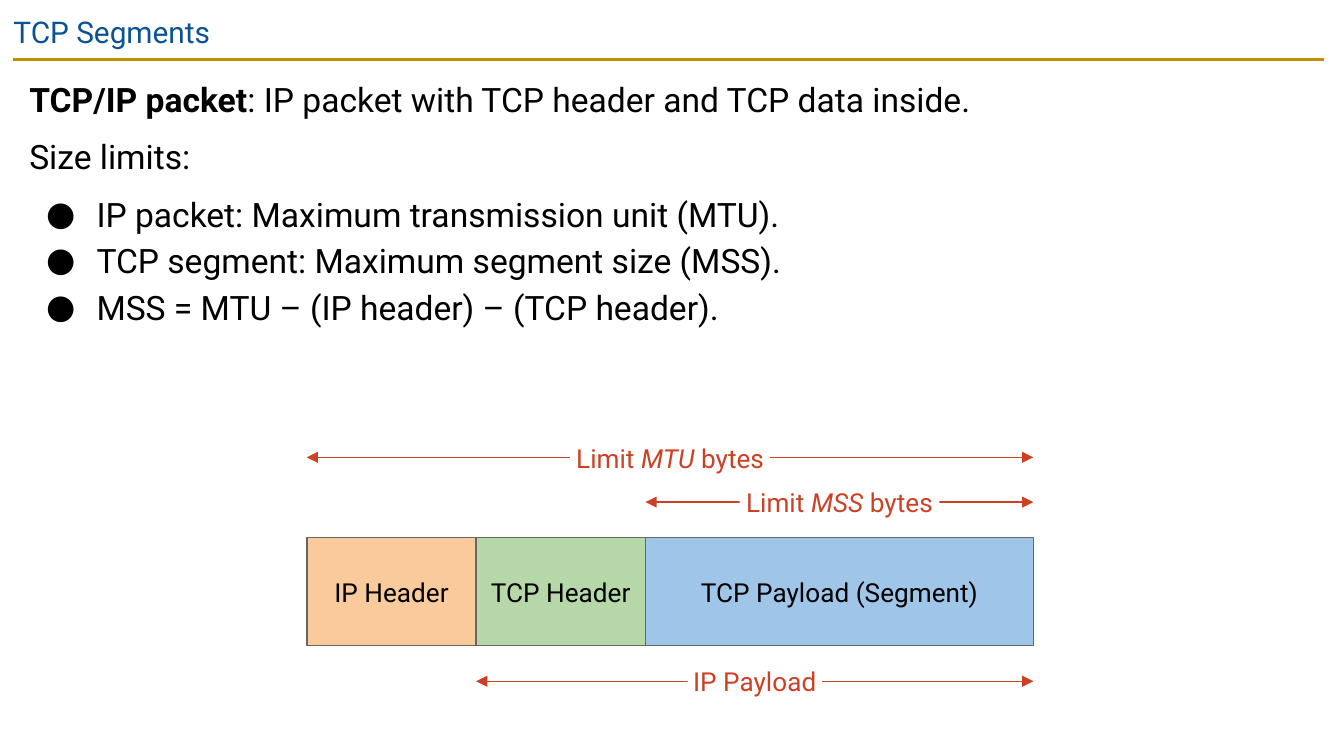
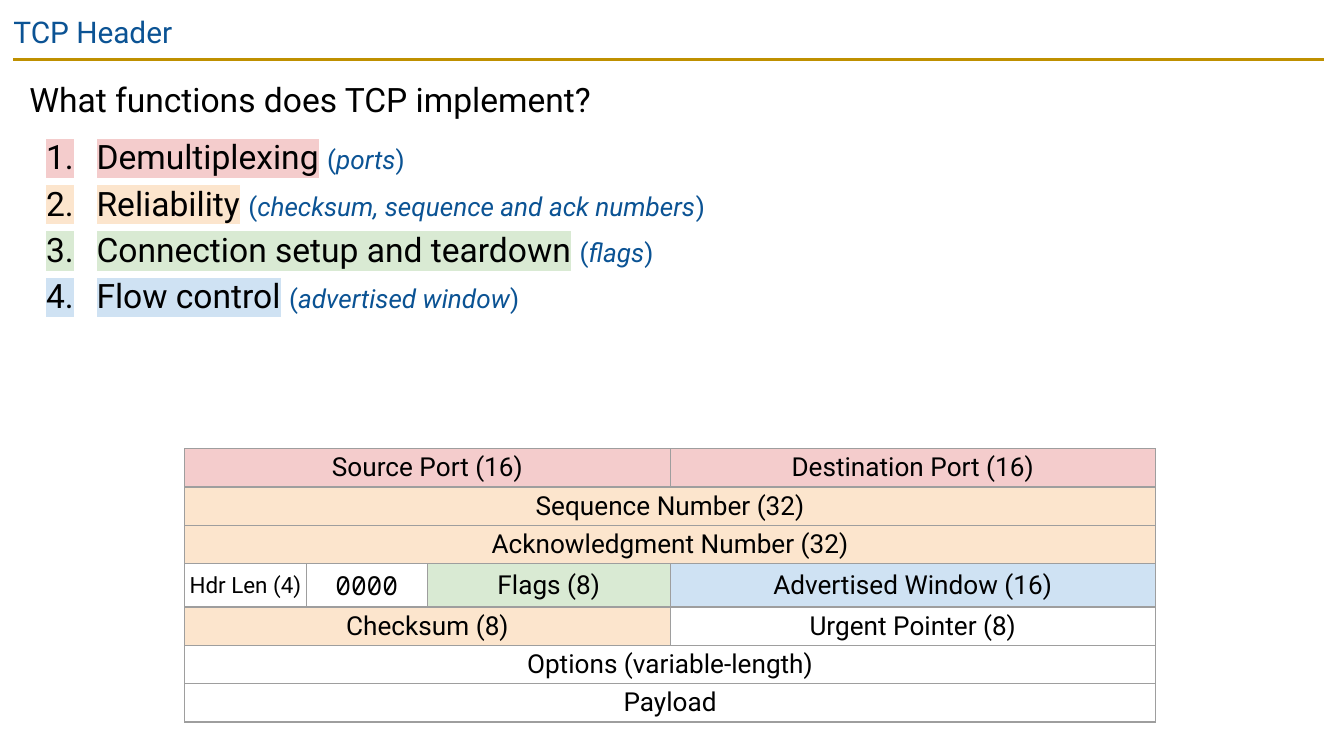
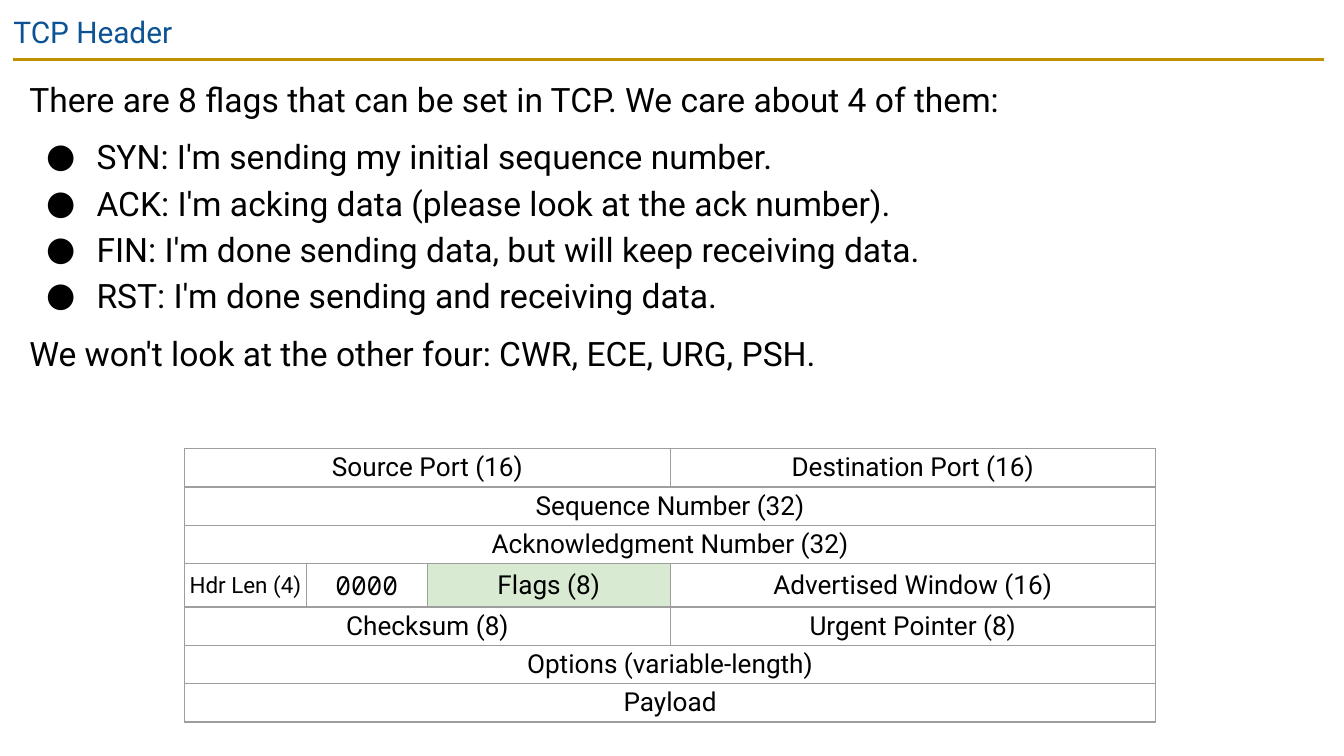
from dataclasses import dataclass
from typing import NamedTuple, Optional

from lxml import etree
from pptx import Presentation
from pptx import util as u
from pptx.dml import color
from pptx.enum import shapes, text
from pptx.oxml import ns

Pt = u.Pt


@dataclass(frozen=True)
class Theme:
    font: str = "Roboto"
    mono: str = "Noto Sans Mono"
    title_size: int = 16
    body_size: int = 18
    label_size: int = 14
    small_size: int = 12
    ink: str = "000000"
    paper: str = "FFFFFF"
    blue: str = "0B5394"
    gold: str = "BF9000"
    red: str = "CC4125"
    outline: str = "666666"
    grid: str = "9E9E9E"
    ip_orange: str = "F9CB9C"
    tcp_green: str = "B6D7A8"
    payload_blue: str = "9FC5E8"
    pale_red: str = "F4CCCC"
    pale_orange: str = "FCE5CD"
    pale_green: str = "D9EAD3"
    pale_blue: str = "CFE2F3"


THEME = Theme()


class Piece(NamedTuple):
    """A stretch of text in one style."""
    words: str
    size: float = THEME.body_size
    ink: str = THEME.ink
    bold: bool = False
    italic: bool = False
    highlight: Optional[str] = None
    font: str = THEME.font


class Line(NamedTuple):
    """A body paragraph; bullet is '', '●' or '1.'."""
    pieces: list[Piece]
    bullet: str = ""
    space_before: float = 6


class Block(NamedTuple):
    """A part of the packet."""
    name: str
    width: float
    fill: str


class Span(NamedTuple):
    """A labelled two-headed arrow over part of the packet."""
    pieces: list[Piece]
    start: float
    y: float
    label_width: float


class Field(NamedTuple):
    """A header field, measured in table columns."""
    name: str
    columns: int
    fill: Optional[str] = None
    size: float = THEME.label_size
    font: str = THEME.font


# --- Text and line helpers ---
def rgb(value: str) -> color.RGBColor:
    return color.RGBColor.from_string(value)


def child(parent, tag: str, **attributes: str):
    return etree.SubElement(parent, ns.qn(tag), attributes)


def set_insets(frame, inset: float) -> None:
    frame.margin_left = frame.margin_right = Pt(inset)
    frame.margin_top = frame.margin_bottom = Pt(inset)


def write(paragraph, pieces: list[Piece]) -> None:
    for piece in pieces:
        run = paragraph.add_run()
        run.text = piece.words
        font = run.font
        font.name, font.size = piece.font, Pt(piece.size)
        font.bold, font.italic = piece.bold, piece.italic
        font.color.rgb = rgb(piece.ink)
        if piece.highlight:
            properties = run.font._element
            mark = child(properties, "a:highlight")
            child(mark, "a:srgbClr", val=piece.highlight)
            properties.find(ns.qn("a:solidFill")).addnext(mark)


def set_bullet(paragraph, bullet: str) -> None:
    properties = paragraph._p.get_or_add_pPr()
    left, hang = (Pt(36), Pt(-27)) if bullet else (0, 0)
    properties.set("marL", str(left))
    properties.set("indent", str(hang))
    if not bullet:
        child(properties, "a:buNone")
        return
    child(child(properties, "a:buClr"), "a:srgbClr", val=THEME.ink)
    child(properties, "a:buSzPts", val=str(THEME.body_size * 100))
    child(properties, "a:buFont", typeface=THEME.font)
    if bullet == "1.":
        child(properties, "a:buAutoNum", type="arabicPeriod")
    else:
        child(properties, "a:buChar", char=bullet)


def add_line(parent, start: float, end: float, y: float, ink: str, weight: float):
    line = parent.add_connector(shapes.MSO_CONNECTOR.STRAIGHT, Pt(start), Pt(y), Pt(end), Pt(y))
    line.line.color.rgb = rgb(ink)
    line.line.width = Pt(weight)
    child(line.element.spPr, "a:effectLst")
    return line


def add_box(parent, left: float, top: float, width: float, height: float, fill: str,
            pieces: list[Piece], inset: float, outline: Optional[str] = None):
    box = parent.add_shape(shapes.MSO_SHAPE.RECTANGLE, Pt(left), Pt(top), Pt(width), Pt(height))
    box.shadow.inherit = False
    box.fill.solid()
    box.fill.fore_color.rgb = rgb(fill)
    if outline:
        box.line.color.rgb = rgb(outline)
        box.line.width = Pt(0.75)
    else:
        box.line.fill.background()
    frame = box.text_frame
    frame.word_wrap = True
    set_insets(frame, inset)
    frame.paragraphs[0].alignment = text.PP_ALIGN.CENTER
    write(frame.paragraphs[0], pieces)
    return box


# --- Slide frame: title, body and the rule on the layout ---
def fit_placeholder(holder, left: float, top: float, width: float, height: float):
    holder.left, holder.top = Pt(left), Pt(top)
    holder.width, holder.height = Pt(width), Pt(height)
    frame = holder.text_frame
    frame.word_wrap = True
    frame.auto_size = text.MSO_AUTO_SIZE.NONE
    frame.vertical_anchor = text.MSO_ANCHOR.TOP
    set_insets(frame, 7.2)
    return frame


def add_slide(deck, title: str, lines: list[Line], body_height: float = 192):
    slide = deck.slides.add_slide(deck.slide_layouts[1])
    heading = fit_placeholder(slide.shapes.title, 0, 0, 671, 31).paragraphs[0]
    heading.alignment = text.PP_ALIGN.LEFT
    write(heading, [Piece(title, THEME.title_size, THEME.blue)])

    body = fit_placeholder(slide.placeholders[1], 8.5, 31.7, 701, body_height)
    for index, line in enumerate(lines):
        paragraph = body.add_paragraph() if index else body.paragraphs[0]
        paragraph.alignment = text.PP_ALIGN.LEFT
        paragraph.line_spacing = 1.15
        paragraph.space_before = Pt(line.space_before)
        set_bullet(paragraph, line.bullet)
        write(paragraph, line.pieces)
    return slide


def add_rule_to_layout(slide) -> None:
    rule = add_line(slide.shapes, 7.2, 709.2, 31.8, THEME.gold, 1.5)
    slide.slide_layout.shapes.element.append(rule.element)


def plain(words: str) -> Line:
    return Line([Piece(words)])


def listed(items: list[list[Piece]], bullet: str = "●") -> list[Line]:
    return [Line(pieces, bullet, 0 if index else 6) for index, pieces in enumerate(items)]


# --- Packet diagram ---
PACKET_LEFT, PACKET_TOP, PACKET_HEIGHT = 164.4, 288, 58
PACKET = [
    Block("IP Header", 90.7, THEME.ip_orange),
    Block("TCP Header", 90.7, THEME.tcp_green),
    Block("TCP Payload (Segment)", 207.8, THEME.payload_blue),
]


def label(words: str, ink: str = THEME.red, italic: bool = False) -> Piece:
    return Piece(words, THEME.label_size, ink, italic=italic)


def limit(unit: str) -> list[Piece]:
    return [label("Limit "), label(unit, italic=True), label(" bytes")]


def add_span(slide, span: Span, end: float) -> None:
    group = slide.shapes.add_group_shape().shapes
    arrow = add_line(group, span.start, end, span.y, THEME.red, 0.75)
    stroke = arrow.line._get_or_add_ln()
    for tip in ("a:headEnd", "a:tailEnd"):
        child(stroke, tip, type="triangle")
    left = (span.start + end - span.label_width) / 2
    tag = add_box(group, left, span.y - 10.3, span.label_width, 21, THEME.paper, span.pieces, 2)
    tag.text_frame.vertical_anchor = text.MSO_ANCHOR.TOP


def add_packet(slide) -> None:
    edges = [PACKET_LEFT]
    for block in PACKET:
        box = add_box(slide.shapes, edges[-1], PACKET_TOP, block.width, PACKET_HEIGHT,
                      block.fill, [label(block.name, THEME.ink)], 7.2, THEME.outline)
        box.text_frame.vertical_anchor = text.MSO_ANCHOR.MIDDLE
        edges.append(edges[-1] + block.width)
    ip_start, tcp_start, segment_start, end = edges
    for span in (
        Span([label("IP Payload")], tcp_start, 365, 72),
        Span(limit("MTU"), ip_start, 245, 107),
        Span(limit("MSS"), segment_start, 269, 107),
    ):
        add_span(slide, span, end)


# --- TCP header table ---
COLUMNS, COLUMN_WIDTH, ROW_HEIGHT = 8, 65, 16
HEADER = [
    [Field("Source Port (16)", 4, THEME.pale_red),
     Field("Destination Port (16)", 4, THEME.pale_red)],
    [Field("Sequence Number (32)", 8, THEME.pale_orange)],
    [Field("Acknowledgment Number (32)", 8, THEME.pale_orange)],
    [Field("Hdr Len (4)", 1, size=THEME.small_size),
     Field("0000", 1, font=THEME.mono),
     Field("Flags (8)", 2, THEME.pale_green),
     Field("Advertised Window (16)", 4, THEME.pale_blue)],
    [Field("Checksum (8)", 4, THEME.pale_orange), Field("Urgent Pointer (8)", 4)],
    [Field("Options (variable-length)", 8)],
    [Field("Payload", 8)],
]


def set_borders(cell) -> None:
    properties = cell._tc.get_or_add_tcPr()
    for index, side in enumerate(("a:lnL", "a:lnR", "a:lnT", "a:lnB")):
        border = child(properties, side, w=str(Pt(0.75)))
        child(child(border, "a:solidFill"), "a:srgbClr", val=THEME.grid)
        properties.insert(index, border)


def add_header_table(slide, shown_fills: set[str]) -> None:
    table = slide.shapes.add_table(
        len(HEADER), COLUMNS, Pt(99), Pt(240.4),
        Pt(COLUMNS * COLUMN_WIDTH), Pt(len(HEADER) * ROW_HEIGHT)).table
    table.first_row = table.horz_banding = False
    for row, fields in enumerate(HEADER):
        column = 0
        for field in fields:
            cell = table.cell(row, column)
            column += field.columns
            if field.columns > 1:
                cell.merge(table.cell(row, column - 1))
            cell.vertical_anchor = text.MSO_ANCHOR.MIDDLE
            paragraph = cell.text_frame.paragraphs[0]
            paragraph.alignment = text.PP_ALIGN.CENTER
            write(paragraph, [Piece(field.name, field.size, font=field.font)])
            if field.fill in shown_fills:
                cell.fill.solid()
                cell.fill.fore_color.rgb = rgb(field.fill)
            else:
                cell.fill.background()
    for cell in table.iter_cells():
        set_insets(cell, 2)
        if cell.is_spanned:
            cell.fill.background()
        set_borders(cell)


def function_item(name: str, highlight: str, fields: str) -> list[Piece]:
    return [Piece(name, highlight=highlight), Piece(" "), label("(", THEME.blue),
            label(fields, THEME.blue, italic=True), label(")", THEME.blue)]


def main() -> None:
    deck = Presentation()
    deck.slide_width, deck.slide_height = Pt(720), Pt(405)

    # Segments and size limits
    segments = add_slide(deck, "TCP Segments", [
        Line([Piece("TCP/IP packet", bold=True),
              Piece(": IP packet with TCP header and TCP data inside.")]),
        plain("Size limits:"),
        *listed([
            [Piece("IP packet: Maximum transmission unit (MTU).")],
            [Piece("TCP segment: Maximum segment size (MSS).")],
            [Piece("MSS = MTU – (IP header) – (TCP header).")],
        ]),
    ], body_height=180)
    add_rule_to_layout(segments)
    add_packet(segments)

    # Functions, matched to header fields by colour
    functions = add_slide(deck, "TCP Header", [
        plain("What functions does TCP implement?"),
        *listed([
            function_item("Demultiplexing", THEME.pale_red, "ports"),
            function_item("Reliability", THEME.pale_orange, "checksum, sequence and ack numbers"),
            function_item("Connection setup and teardown", THEME.pale_green, "flags"),
            function_item("Flow control", THEME.pale_blue, "advertised window"),
        ], "1."),
    ])
    add_header_table(functions, {THEME.pale_red, THEME.pale_orange,
                                 THEME.pale_green, THEME.pale_blue})

    # Flags
    flags = add_slide(deck, "TCP Header", [
        plain("There are 8 flags that can be set in TCP. We care about 4 of them:"),
        *listed([
            [Piece("SYN: I'm sending my initial sequence number.")],
            [Piece("ACK: I'm acking data (please look at the ack number).")],
            [Piece("FIN: I'm done sending data, but will keep receiving data.")],
            [Piece("RST: I'm done sending and receiving data.")],
        ]),
        plain("We won't look at the other four: CWR, ECE, URG, PSH."),
    ])
    add_header_table(flags, {THEME.pale_green})

    deck.save("out.pptx")


if __name__ == "__main__":
    main()
